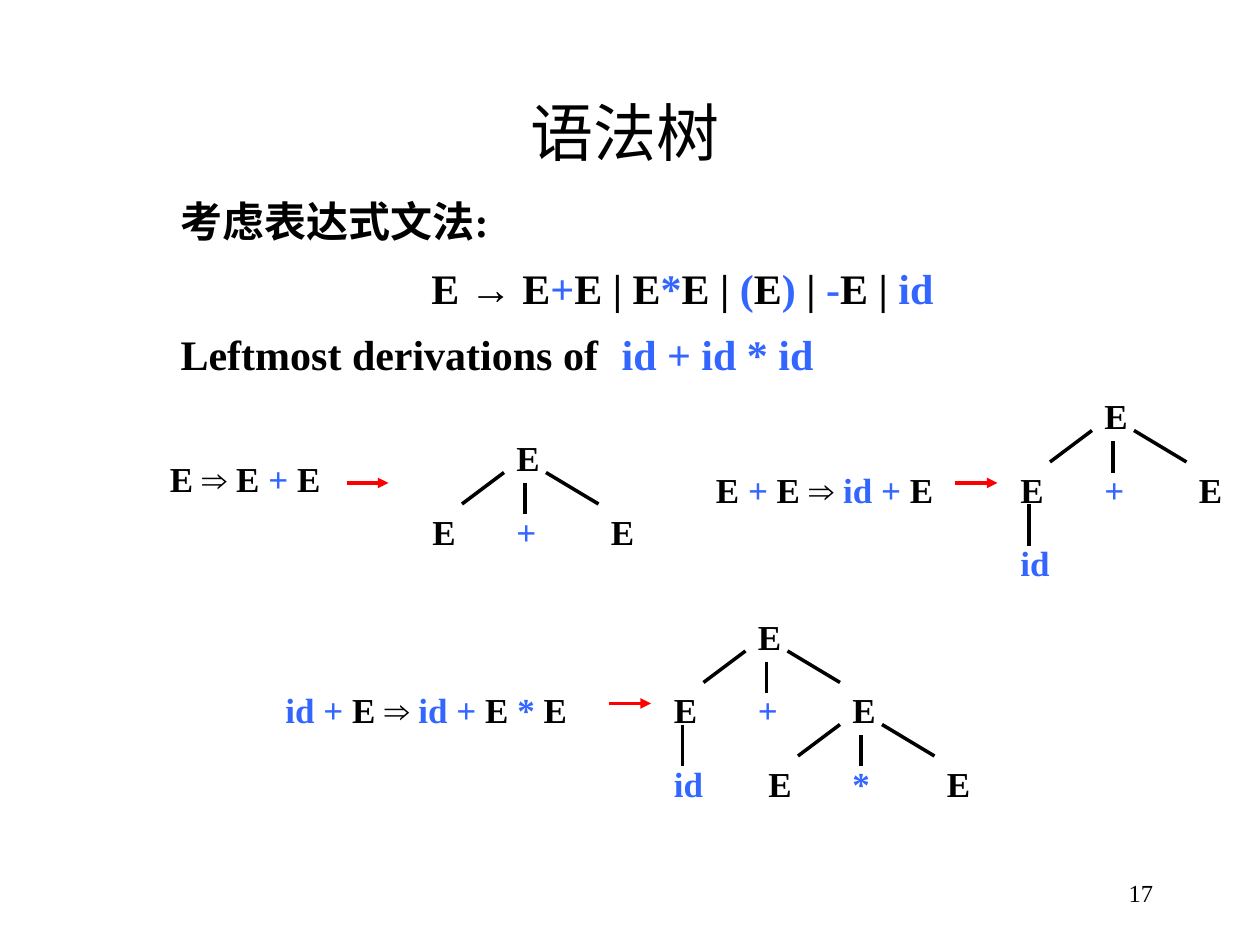
from itertools import groupby

from lxml.etree import SubElement
from pptx import Presentation
from pptx.dml.color import RGBColor
from pptx.enum.shapes import MSO_CONNECTOR
from pptx.enum.text import MSO_ANCHOR, MSO_AUTO_SIZE, PP_ALIGN
from pptx.oxml.ns import qn
from pptx.util import Pt

COLORS = {"text": "000000", "terminal": "3366FF", "arrow": "FF0000"}
SERIF, SANS = "Times New Roman", "Arial"


def write(paragraph, text, size=20, bold=True, font=SERIF, align=PP_ALIGN.LEFT,
          before=0, line_spacing=1.0):
    """Write text; parts between ~ marks are terminals, arrow signs are Arial."""
    paragraph.alignment = align
    paragraph.space_before = Pt(before)
    paragraph.line_spacing = line_spacing
    for index, part in enumerate(text.split("~")):
        color = COLORS["terminal" if index % 2 else "text"]
        for is_arrow, letters in groupby(part, lambda letter: letter in "→⇒"):
            run = paragraph.add_run()
            run.text = "".join(letters)
            run.font.name = SANS if is_arrow else font
            run.font.size = Pt(size)
            run.font.bold = bold
            run.font.color.rgb = RGBColor.from_string(color)


def place(shape, left, top, width, height):
    shape.left, shape.top = Pt(left), Pt(top)
    shape.width, shape.height = Pt(width), Pt(height)


def add_text(shapes, text, left, top, width=42, height=32, **text_format):
    shape = shapes.add_textbox(Pt(left), Pt(top), Pt(width), Pt(height))
    shape.text_frame.word_wrap = True
    write(shape.text_frame.paragraphs[0], text, **text_format)
    return shape


def add_line(shapes, x1, y1, x2, y2, color="text", arrowhead=False):
    line = shapes.add_connector(MSO_CONNECTOR.STRAIGHT, Pt(x1), Pt(y1), Pt(x2), Pt(y2))
    line.line.color.rgb = RGBColor.from_string(COLORS[color])
    line.line.width = Pt(2)
    if arrowhead:
        SubElement(line.line._get_or_add_ln(), qn("a:tailEnd"), type="triangle")
    SubElement(line._element.spPr, qn("a:effectLst"))


def add_derivation(shapes, text, left, top, width, arrow_left, arrow_top):
    add_text(shapes, text, left, top, width)
    add_line(shapes, arrow_left, arrow_top, arrow_left + 24, arrow_top, "arrow", True)


def add_branches(shapes, operator, x, y):
    """Draw the three children of the node whose box starts at x, y."""
    for text, offset in (("E", -48), (f"~{operator}~", 0), ("E", 54)):
        add_text(shapes, text, x + offset, y + 42)
    add_line(shapes, x - 24, y + 42, x, y + 24)
    add_line(shapes, x + 12, y + 30, x + 12, y + 48)
    add_line(shapes, x + 24, y + 24, x + 54, y + 42)


def add_tree(shapes, x, y, left_id=False, right_product=False):
    """Draw E -> E + E, with its left or right child expanded if asked."""
    add_text(shapes, "E", x, y)
    add_branches(shapes, "+", x, y)
    if left_id:
        add_line(shapes, x - 36, y + 66, x - 36, y + 90)
        add_text(shapes, "~id~", x - 48, y + 84, 36)
    if right_product:
        add_branches(shapes, "*", x + 54, y + 42)


def fill_title(title):
    place(title, 54, 48, 606, 54)
    title.text_frame.vertical_anchor = MSO_ANCHOR.MIDDLE
    title.text_frame.auto_size = MSO_AUTO_SIZE.NONE
    write(title.text_frame.paragraphs[0], "语法树", size=36, bold=False, font=SANS,
          align=PP_ALIGN.CENTER)


def fill_body(body):
    place(body, 96, 108, 588, 112)
    frame = body.text_frame
    frame.auto_size = MSO_AUTO_SIZE.NONE
    lines = (
        ("考虑表达式文法:", {}),
        ("E → E~+~E | E~*~E | ~(~E~)~ | ~-~E | ~id~",
         {"align": PP_ALIGN.CENTER, "before": 15, "line_spacing": 0.8}),
        ("Leftmost derivations of\t~id + id * id~", {"before": 15, "line_spacing": 0.8}),
    )
    for index, (text, text_format) in enumerate(lines):
        paragraph = frame.add_paragraph() if index else frame.paragraphs[0]
        properties = paragraph._p.get_or_add_pPr()
        properties.set("marL", "0")
        properties.set("indent", "0")
        SubElement(properties, qn("a:buNone"))
        if "\t" in text:
            tabs = SubElement(properties, qn("a:tabLst"))
            SubElement(tabs, qn("a:tab"), pos=str(int(Pt(268.8))), algn="l")
        write(paragraph, text, size=24, **text_format)


def main():
    presentation = Presentation()
    presentation.slide_width, presentation.slide_height = Pt(720), Pt(540)
    slide = presentation.slides.add_slide(presentation.slide_layouts[1])
    shapes = slide.shapes

    # Heading, grammar and page number
    fill_title(shapes.title)
    fill_body(slide.placeholders[1])
    number = add_text(shapes, "17", 516, 492, 150, 36, size=14, bold=False,
                      align=PP_ALIGN.RIGHT)
    number.text_frame.vertical_anchor = MSO_ANCHOR.MIDDLE

    # First step: E becomes a sum
    add_derivation(shapes, "E ⇒ E ~+~ E", 90, 258, 114, 198, 276)
    add_tree(shapes.add_group_shape().shapes, 288, 246)

    # Second step: the left E becomes id
    second_step = shapes.add_group_shape().shapes
    add_derivation(second_step, "E ~+~ E ⇒ ~id +~ E", 402, 264, 144, 546, 276)
    add_tree(second_step, 624, 222, left_id=True)

    # Third step: the right E becomes a product
    third_step = shapes.add_group_shape().shapes
    add_derivation(third_step, "~id +~ E ⇒ ~id +~ E ~*~ E", 156, 390, 192, 348, 402)
    add_tree(third_step, 426, 348, left_id=True, right_product=True)

    presentation.save("out.pptx")


if __name__ == "__main__":
    main()
